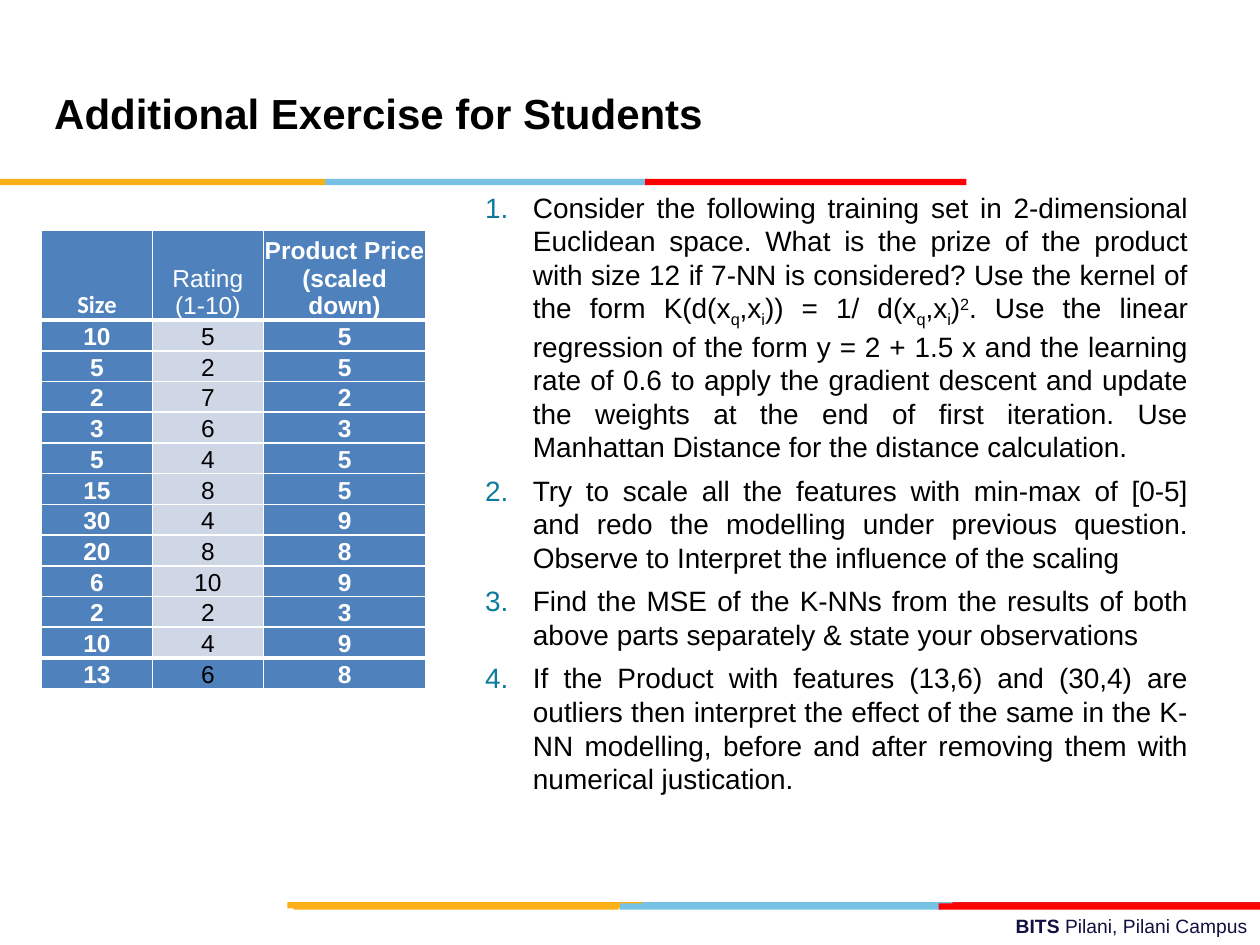
import copy
import pptx
import pptx.dml.color
import pptx.enum.shapes
import pptx.enum.text
import pptx.oxml
import pptx.oxml.ns
import pptx.util
from pptx.util import Inches

COLORS = {
    "black": "000000", "white": "FFFFFF", "navy": "101141", "teal": "0C7B9C",
    "gold": "FCB017", "sky": "76C2E5", "crimson": "E31C24", "red": "FF0000",
    "blue": "4F81BD", "pale": "CFD7E7",
}
TITLE = "Additional Exercise for Students"
FOOTER = [("BITS ", True), ("Pilani, Pilani Campus", False)]
STRIPES = [
    (7.16, [(5.06, 2.55, "sky"), (7.56, 2.44, "crimson"), (2.28, 2.82, "gold")]),
    (7.17, [(4.92, 2.55, "sky"), (2.33, 2.58, "gold"), (7.45, 2.55, "red")]),
    (1.42, [(2.58, 2.55, "sky"), (0, 2.58, "gold"), (5.12, 2.55, "red")]),
]
SUB, SUPER = -25, 30
QUESTIONS = [
    [("Consider the following training set in 2-dimensional Euclidean space. What is the prize "
      "of the product with size 12 if 7-NN is considered? Use the kernel of the form K(d(x", 0),
     ("q", SUB), (",x", 0), ("i", SUB), (")) = 1/ d(x", 0),
     ("q", SUB), (",x", 0), ("i", SUB), (")", 0), ("2", SUPER),
     (". Use the linear regression of the form y = 2 + 1.5 x and the learning rate of 0.6 to apply "
      "the gradient descent and update the weights at the end of first iteration. Use Manhattan "
      "Distance for the distance calculation.", 0)],
    [("Try to scale all the features with min-max of [0-5] and redo the modelling under previous "
      "question. Observe to Interpret the influence of the scaling", 0)],
    [("Find the MSE of the K-NNs from the results of both above parts separately & state your "
      "observations", 0)],
    [("If the Product with features (13,6) and (30,4) are outliers then interpret the effect of "
      "the same in the K-NN modelling, before and after removing them with numerical "
      "justication.", 0)],
]
HEADERS = [["Size"], ["Rating", "(1-10)"], ["Product Price\n(scaled down)"]]
PRODUCTS = [
    (10, 5, 5), (5, 2, 5), (2, 7, 2), (3, 6, 3), (5, 4, 5), (15, 8, 5),
    (30, 4, 9), (20, 8, 8), (6, 10, 9), (2, 2, 3), (10, 4, 9), (13, 6, 8),
]
COLUMN_WIDTHS = [0.88, 0.88, 1.29]
HEADER_HEIGHT, ROW_HEIGHT = 0.62, 0.21
ALIGN = pptx.enum.text.PP_ALIGN
ANCHOR = pptx.enum.text.MSO_ANCHOR


def rgb(name):
    return pptx.dml.color.RGBColor.from_string(COLORS[name])


def write(para, text, size=14, font="Arial", color="black", bold=False, baseline=0):
    for number, line in enumerate(text.split("\n")):
        if number:
            para.add_line_break()
            para._p[-1].append(copy.deepcopy(span._r.rPr))
        span = para.add_run()
        span.text = line
        span.font.size = pptx.util.Pt(size)
        span.font.name = font
        span.font.bold = bold
        span.font.color.rgb = rgb(color)
        if baseline:
            span._r.get_or_add_rPr().set("baseline", str(baseline * 1000))


def place(box, left, top, width, height):
    box.left, box.top = Inches(left), Inches(top)
    box.width, box.height = Inches(width), Inches(height)


def add_element(parent, tag, **attributes):
    child = pptx.oxml.parse_xml(f"<a:{tag} {pptx.oxml.ns.nsdecls('a')}/>")
    for key, value in attributes.items():
        child.set(key, str(value))
    parent.append(child)
    return child


def draw_stripes(page):
    for top, bars in STRIPES:
        for left, width, color in bars:
            bar = page.shapes.add_shape(
                pptx.enum.shapes.MSO_SHAPE.RECTANGLE,
                Inches(left), Inches(top), Inches(width), Inches(0.05))
            bar.shadow.inherit = False
            bar.fill.solid()
            bar.fill.fore_color.rgb = rgb(color)
            bar.line.fill.background()


def draw_footer(page):
    box = page.shapes.add_textbox(Inches(3.58), Inches(7.21), Inches(6.42), Inches(0.29))
    box.text_frame.word_wrap = True
    para = box.text_frame.paragraphs[0]
    para.alignment = ALIGN.RIGHT
    for text, bold in FOOTER:
        write(para, text, size=11, color="navy", bold=bold)


def fill_title(box):
    place(box, 0.33, 0.17, 6.92, 1.25)
    box.text_frame.auto_size = pptx.enum.text.MSO_AUTO_SIZE.NONE
    box.text_frame.vertical_anchor = ANCHOR.MIDDLE
    para = box.text_frame.paragraphs[0]
    para.alignment = ALIGN.LEFT
    para.line_spacing = 1.5
    write(para, TITLE, size=24, bold=True)


def fill_questions(box):
    place(box, 3.75, 1.46, 5.78, 4.29)
    frame = box.text_frame
    frame.auto_size = pptx.enum.text.MSO_AUTO_SIZE.NONE
    frame.vertical_anchor = ANCHOR.TOP
    for number, question in enumerate(QUESTIONS):
        para = frame.add_paragraph() if number else frame.paragraphs[0]
        para.alignment = ALIGN.JUSTIFY
        para.space_before = pptx.util.Pt(5.6 if number else 0)
        properties = para._p.get_or_add_pPr()
        properties.set("marL", str(Inches(0.38)))
        properties.set("indent", str(-Inches(0.38)))
        add_element(add_element(properties, "buClr"), "srgbClr", val=COLORS["teal"])
        add_element(properties, "buFont", typeface="+mj-lt")
        add_element(properties, "buAutoNum", type="arabicPeriod")
        for text, baseline in question:
            write(para, text, size=16, baseline=baseline)


def format_cell(cell, fill, top, bottom):
    cell.vertical_anchor = ANCHOR.BOTTOM
    cell.margin_left = cell.margin_right = cell.margin_top = Inches(0.01)
    cell.margin_bottom = 0
    properties = cell._tc.get_or_add_tcPr()
    for side, width in (("L", 1), ("R", 1), ("T", top), ("B", bottom)):
        line = add_element(properties, f"ln{side}", w=pptx.util.Pt(width))
        add_element(add_element(line, "solidFill"), "srgbClr", val=COLORS["white"])
    cell.fill.solid()
    cell.fill.fore_color.rgb = rgb(fill)


def draw_table(page):
    rows = [HEADERS] + [[[str(value)] for value in product] for product in PRODUCTS]
    last = len(rows) - 1
    table = page.shapes.add_table(
        len(rows), len(COLUMN_WIDTHS), Inches(0.33), Inches(1.83),
        Inches(sum(COLUMN_WIDTHS)), Inches(HEADER_HEIGHT + last * ROW_HEIGHT)).table
    table.horz_banding = False
    for column, width in zip(table.columns, COLUMN_WIDTHS):
        column.width = Inches(width)
    for r, values in enumerate(rows):
        table.rows[r].height = Inches(ROW_HEIGHT if r else HEADER_HEIGHT)
        for c, lines in enumerate(values):
            cell = table.cell(r, c)
            rating = c == 1
            format_cell(cell, "pale" if rating and 0 < r < last else "blue",
                        top=3 if r in (1, last) else 1,
                        bottom=3 if r in (0, last - 1) else 1)
            for number, line in enumerate(lines):
                frame = cell.text_frame
                para = frame.add_paragraph() if number else frame.paragraphs[0]
                para.alignment = ALIGN.CENTER
                write(para, line, bold=not rating,
                      font="Calibri" if r == c == 0 else "Arial",
                      color="black" if rating and r else "white")


def main():
    deck = pptx.Presentation()
    deck.slide_width, deck.slide_height = Inches(10), Inches(7.5)
    page = deck.slides.add_slide(deck.slide_layouts[1])
    draw_footer(page)
    draw_stripes(page)
    fill_title(page.shapes.title)
    fill_questions(page.placeholders[1])
    draw_table(page)
    deck.save("out.pptx")


if __name__ == "__main__":
    main()
